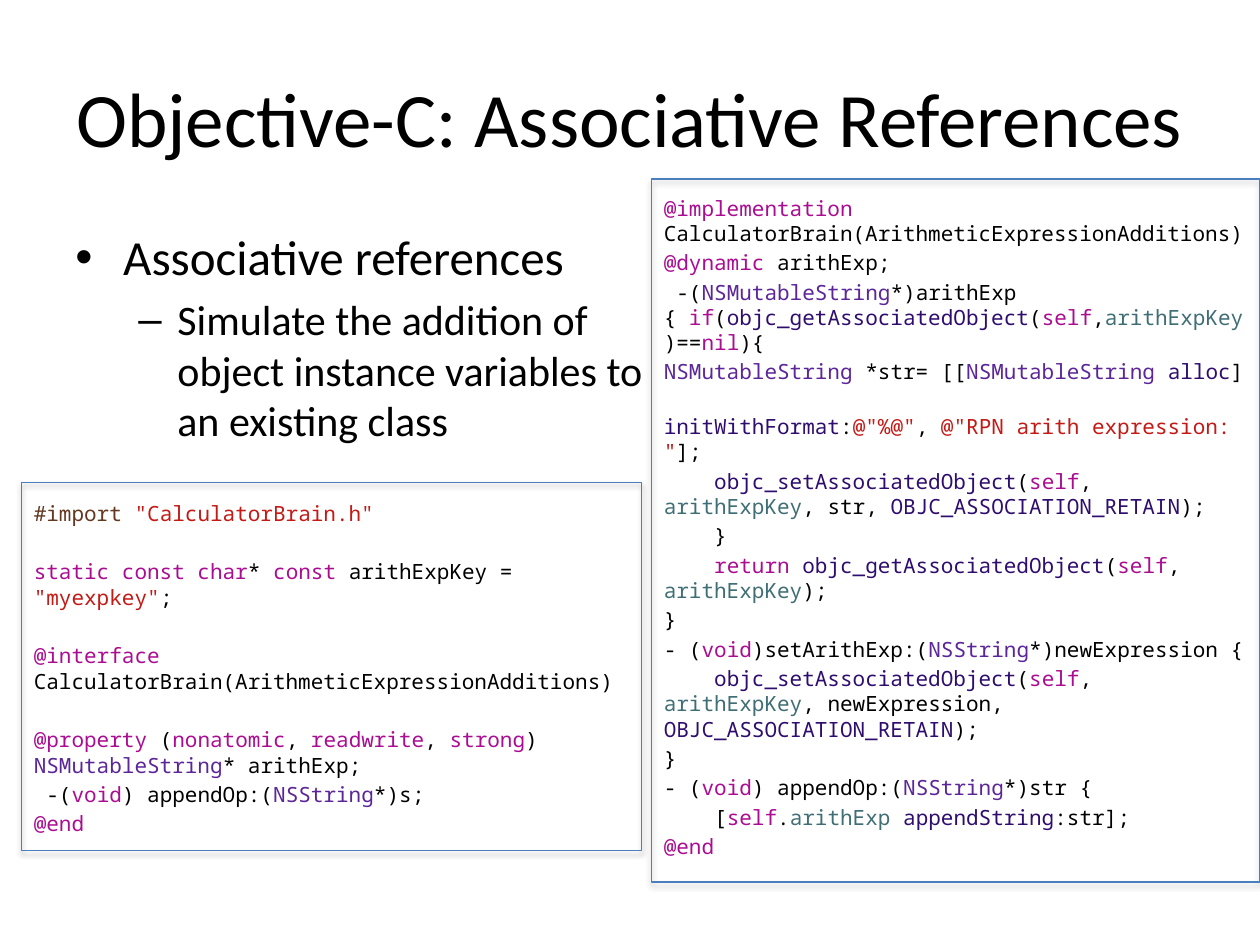
from lxml.etree import SubElement
from pptx import Presentation
from pptx.dml.color import RGBColor
from pptx.enum.shapes import MSO_SHAPE
from pptx.enum.text import MSO_ANCHOR, PP_ALIGN
from pptx.oxml.ns import qn
from pptx.util import Inches, Pt

SYNTAX = {
    "_": "000000", "k": "AA0D91", "t": "5C2699", "f": "2E0D6E",
    "v": "3F6E74", "s": "C41A16", "p": "643820",
}
LINE_GAP = 2.4
WRAP_GAP = 16.8
BLOCK_GAP = 19.2
TAB = 0.4

INTERFACE = [
    ('~p#import ~s"CalculatorBrain.h"',),
    ('~kstatic const char~_* ~kconst ~_arithExpKey = ~s"myexpkey"~_;', BLOCK_GAP),
    ("~k@interface ~_CalculatorBrain(ArithmeticExpressionAdditions)", BLOCK_GAP),
    ("~k@property~_ (~knonatomic~_, ~kreadwrite~_, ~kstrong~_) "
     "~tNSMutableString~_* arithExp;", BLOCK_GAP),
    ("~_ -(~kvoid~_) appendOp:(~tNSString~_*)s;",),
    ("~k@end",),
]

IMPLEMENTATION = [
    ("~k@implementation ~_CalculatorBrain(ArithmeticExpressionAdditions)",),
    ("~k@dynamic ~_arithExp;",),
    ("~_ -(~tNSMutableString~_*)arithExp { ~kif~_(~fobjc_getAssociatedObject~_("
     "~kself~_,~varithExpKey~_)==~knil~_){",),
    ("~tNSMutableString ~_*str= [[~tNSMutableString ~falloc~_]",),
    ('~finitWithFormat~_:~s@"%@"~_, ~s@"RPN arith expression: "~_];', WRAP_GAP),
    ("~fobjc_setAssociatedObject~_(~kself~_, ~varithExpKey~_, str, "
     "~fOBJC_ASSOCIATION_RETAIN~_);", LINE_GAP, TAB),
    ("~_}", LINE_GAP, TAB),
    ("~kreturn ~fobjc_getAssociatedObject~_(~kself~_, ~varithExpKey~_);", LINE_GAP, TAB),
    ("~_}",),
    ("~_- (~kvoid~_)setArithExp:(~tNSString~_*)newExpression {",),
    ("~fobjc_setAssociatedObject~_(~kself~_, ~varithExpKey~_, newExpression, "
     "~fOBJC_ASSOCIATION_RETAIN~_);", LINE_GAP, TAB),
    ("~_}",),
    ("~_- (~kvoid~_) appendOp:(~tNSString~_*)str {",),
    ("~_[~kself~_.~varithExp ~fappendString~_:str];", LINE_GAP, TAB),
    ("~k@end",),
]


def colour(value):
    return RGBColor.from_string(value)


def write(para, text, font="Calibri", size=12, ink="000000"):
    span = para.add_run()
    span.text = text
    span.font.name = font
    span.font.size = Pt(size)
    span.font.color.rgb = colour(ink)


class SlideBuilder:
    code_font = "Noto Sans Mono"
    code_size = 12
    frame_ink = "4B7EBC"

    def __init__(self, page):
        self.page = page

    def text_frame(self, left, top, width, height):
        box = self.page.shapes.add_textbox(
            Inches(left), Inches(top), Inches(width), Inches(height))
        box.text_frame.word_wrap = True
        return box.text_frame

    def paragraph(self, frame, index, gap, margin=0, indent=0):
        para = frame.add_paragraph() if index else frame.paragraphs[0]
        para.space_before = Pt(gap)
        properties = para._p.get_or_add_pPr()
        properties.set("marL", str(Inches(margin)))
        properties.set("indent", str(Inches(indent)))
        return para

    def title(self, text, *place):
        frame = self.text_frame(*place)
        frame.vertical_anchor = MSO_ANCHOR.MIDDLE
        para = frame.paragraphs[0]
        para.alignment = PP_ALIGN.CENTER
        write(para, text, size=44)

    def bullets(self, items, *place):
        frame = self.text_frame(*place)
        for index, (text, size, mark, margin, hang) in enumerate(items):
            para = self.paragraph(frame, index, size * 0.2, margin, -hang)
            para.level = index
            properties = para._p.get_or_add_pPr()
            SubElement(properties, qn("a:buFont"), typeface="Arial")
            SubElement(properties, qn("a:buChar"), char=mark)
            write(para, text, size=size)

    def code(self, lines, *place):
        frame = self.text_frame(*place)
        for index, (markup, *spacing) in enumerate(lines):
            gap, indent = spacing + [LINE_GAP, 0][len(spacing):]
            para = self.paragraph(frame, index, gap, indent=indent)
            for part in markup.split("~")[1:]:
                write(para, part[1:], font=self.code_font,
                      size=self.code_size, ink=SYNTAX[part[0]])

    def outline(self, left, top, width, height):
        box = self.page.shapes.add_shape(
            MSO_SHAPE.RECTANGLE,
            Inches(left), Inches(top), Inches(width), Inches(height))
        box.fill.background()
        box.line.color.rgb = colour(self.frame_ink)
        box.line.width = Pt(0.75)
        box.shadow.inherit = False
        effects = box._element.spPr.find(qn("a:effectLst"))
        shadow = SubElement(
            effects, qn("a:outerShdw"), blurRad=str(Pt(3.1)),
            dist=str(Pt(1.8)), dir="5400000", rotWithShape="0")
        ink = SubElement(shadow, qn("a:srgbClr"), val="000000")
        SubElement(ink, qn("a:alpha"), val="35000")


def main():
    deck = Presentation()
    deck.slide_width = Inches(10)
    deck.slide_height = Inches(7.5)
    builder = SlideBuilder(deck.slides.add_slide(deck.slide_layouts[6]))

    builder.title("Objective-C: Associative References", 0.5, 0.3, 9, 1.25)
    builder.bullets([
        ("Associative references", 28, "•", 0.38, 0.38),
        ("Simulate the addition of object instance variables to an existing class",
         24, "–", 0.81, 0.31),
    ], 0.5, 1.75, 4.83, 4.95)
    builder.code(INTERFACE, 0.17, 3.92, 4.83, 2.92)
    builder.outline(0.17, 3.83, 4.92, 2.92)
    builder.outline(5.17, 1.42, 4.83, 5.58)
    builder.code(IMPLEMENTATION, 5.17, 1.5, 4.83, 5.67)
    deck.save("out.pptx")


if __name__ == "__main__":
    main()
